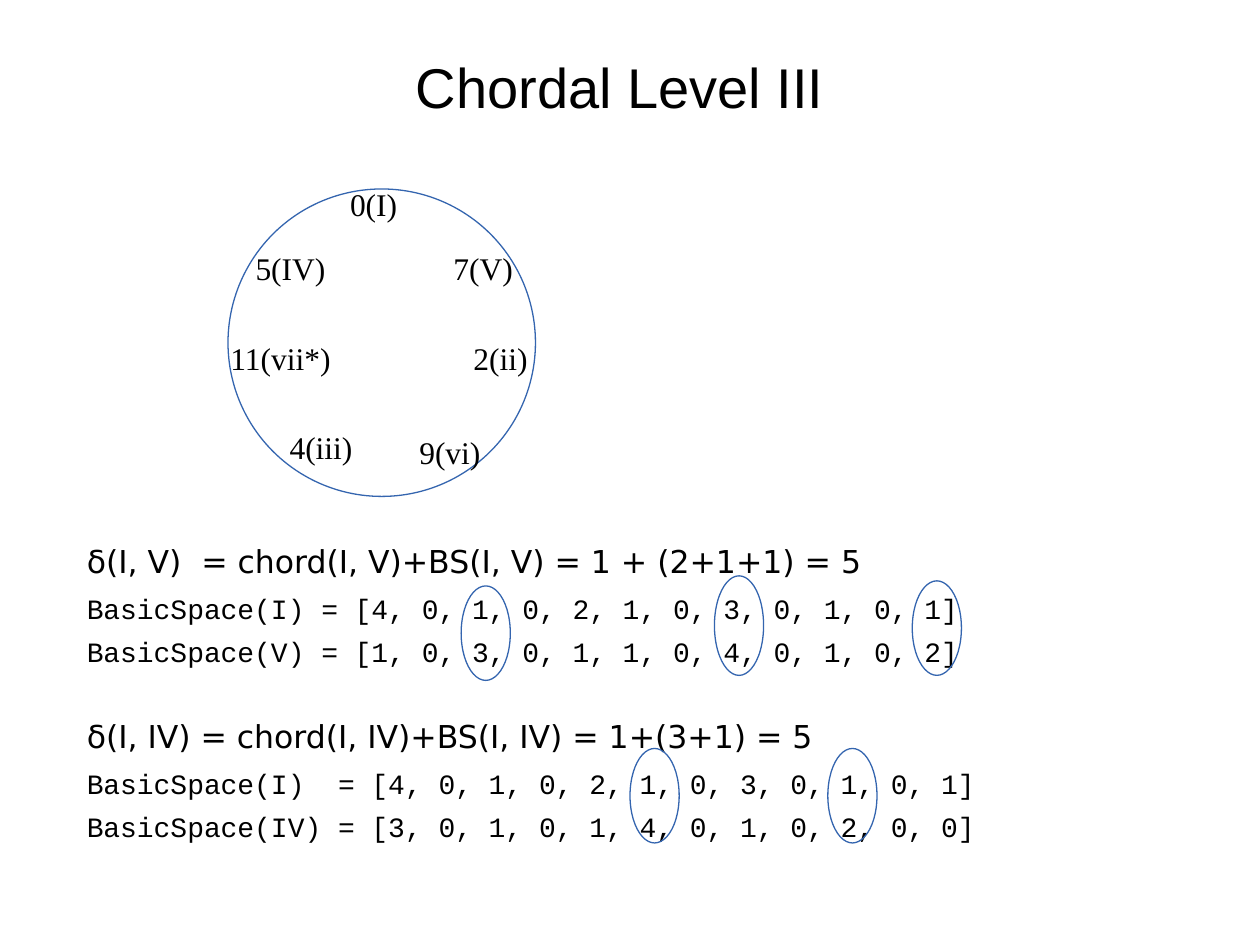
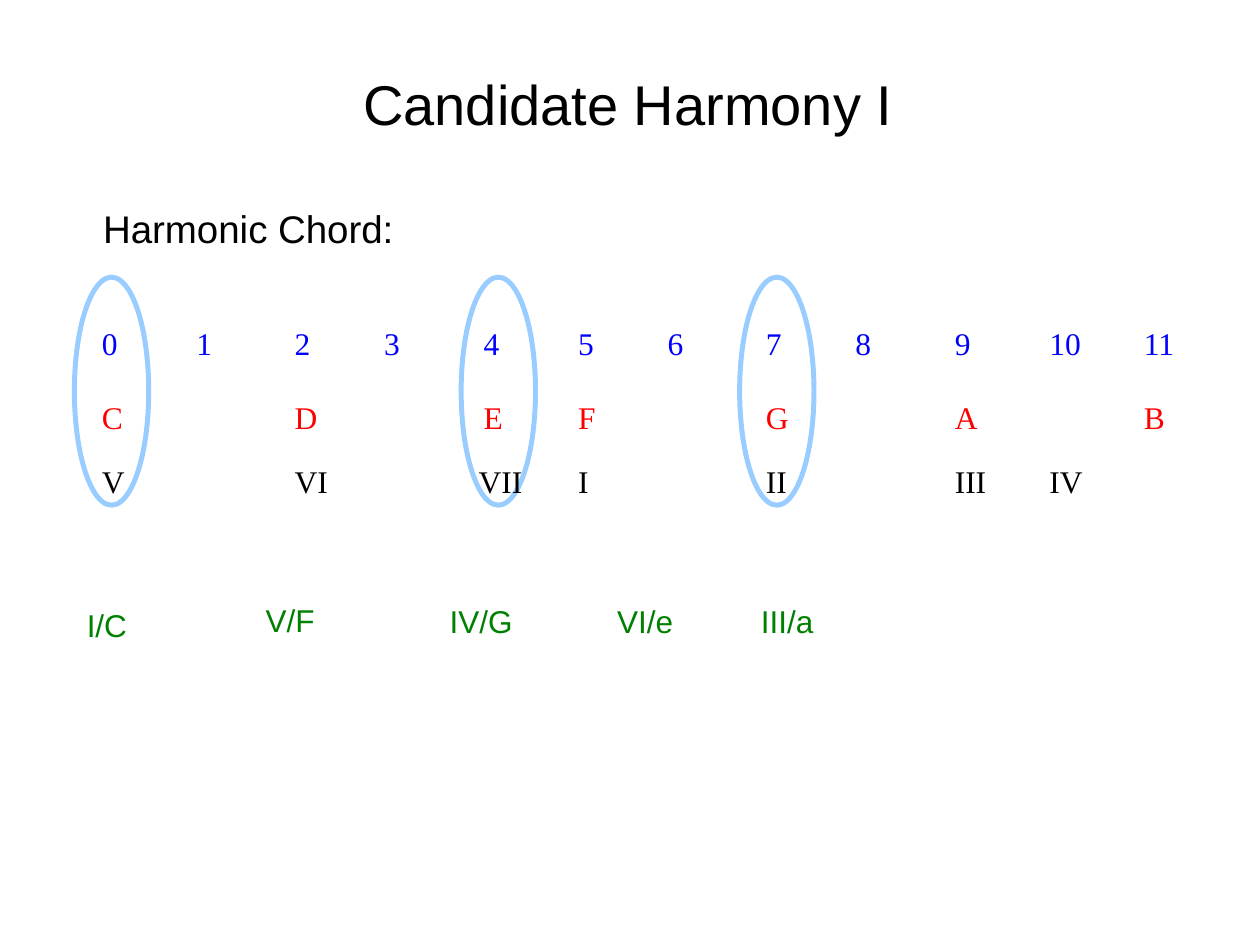
"""Build two slides on chord distance and candidate harmonies."""
from dataclasses import dataclass

from pptx import Presentation
from pptx.dml.color import RGBColor
from pptx.enum.shapes import MSO_SHAPE
from pptx.enum.text import MSO_ANCHOR, PP_ALIGN
from pptx.util import Inches, Pt


@dataclass(frozen=True)
class Theme:
    black: str = "000000"
    blue: str = "0000FF"
    red: str = "FF0000"
    green: str = "008000"
    thin_ring: str = "3465AF"
    thick_ring: str = "99CCFF"
    sans: str = "Arial"
    serif: str = "Times New Roman"
    mono: str = "Courier New"
    formula: str = "DejaVu Sans"
    title_size: float = 32
    subtitle_size: float = 22
    label_size: float = 18
    code_size: float = 16
    thin_line: float = 0.75
    thick_line: float = 2.83


THEME = Theme()

LEVEL_TITLE = ("Chordal Level III", (0.42, 0.06, 9, 1.25))
HARMONY_TITLE = ("Candidate Harmony I", (0.47, 0.16, 9.03, 1.31))

FIFTHS_CIRCLE = (1.81, 1.5, 2.44, 2.44)
CIRCLE_CHORDS = [
    ("0(I)", 2.68, 1.42), ("7(V)", 3.5, 1.93), ("2(ii)", 3.66, 2.64),
    ("9(vi)", 3.23, 3.39), ("4(iii)", 2.2, 3.35), ("11(vii*)", 1.73, 2.64),
    ("5(IV)", 1.93, 1.93),
]
DERIVATION_BOX = (0.59, 1.34, 9.02, 5.51)
DERIVATION_INSET = 2.96
DERIVATIONS = [
    ("δ(I, V)  = chord(I, V)+BS(I, V) = 1 + (2+1+1) = 5",
     ["BasicSpace(I) = [4, 0, 1, 0, 2, 1, 0, 3, 0, 1, 0, 1]",
      "BasicSpace(V) = [1, 0, 3, 0, 1, 1, 0, 4, 0, 1, 0, 2]"]),
    ("δ(I, IV) = chord(I, IV)+BS(I, IV) = 1+(3+1) = 5",
     ["BasicSpace(I)  = [4, 0, 1, 0, 2, 1, 0, 3, 0, 1, 0, 1]",
      "BasicSpace(IV) = [3, 0, 1, 0, 1, 4, 0, 1, 0, 2, 0, 0]"]),
]
DIFFERENCE_RINGS = [(3.66, 4.65, 0.75), (5.67, 4.57, 0.79), (7.24, 4.61, 0.75),
                    (5, 5.94, 0.75), (6.57, 5.94, 0.75)]

PITCH_LEFTS = (0.71, 1.46, 2.24, 2.95, 3.74, 4.49, 5.2, 5.98, 6.69, 7.48, 8.23, 8.98)
NOTES = {0: "C", 2: "D", 4: "E", 5: "F", 7: "G", 9: "A", 11: "B"}
DEGREES = [("V", 0.71), ("VI", 2.24), ("VII", 3.7), ("I", 4.49),
           ("II", 5.98), ("III", 7.48), ("IV", 8.23)]
CHORD_RING_LEFTS = (0.59, 3.66, 5.87)
CANDIDATES = [("I/C", 0.59, 4.76), ("V/F", 2.01, 4.72), ("IV/G", 3.47, 4.73),
              ("VI/e", 4.8, 4.73), ("III/a", 5.94, 4.73)]


def format_runs(paragraph, font_name, size, color=THEME.black):
    """Apply one font, size and colour to every run."""
    for run in paragraph.runs:
        run.font.name = font_name
        run.font.size = Pt(size)
        run.font.color.rgb = RGBColor.from_string(color)


def add_titled_slide(presentation, text, box):
    """Add a title-only slide with its title placed in the box."""
    slide = presentation.slides.add_slide(presentation.slide_layouts[5])
    title = slide.shapes.title
    title.left, title.top, title.width, title.height = map(Inches, box)
    frame = title.text_frame
    frame.text = text
    frame.vertical_anchor = MSO_ANCHOR.MIDDLE
    frame.paragraphs[0].alignment = PP_ALIGN.CENTER
    format_runs(frame.paragraphs[0], THEME.sans, THEME.title_size)
    return slide


def add_label(shapes, text, box, color=THEME.black, font_name=THEME.serif,
              size=THEME.label_size):
    """Add a single-line label."""
    frame = shapes.add_textbox(*map(Inches, box)).text_frame
    frame.word_wrap = True
    frame.margin_right = 0
    frame.text = text
    format_runs(frame.paragraphs[0], font_name, size, color)


def add_ring(shapes, box, color=THEME.thin_ring, line_width=THEME.thin_line):
    """Add an unfilled ellipse."""
    ring = shapes.add_shape(MSO_SHAPE.OVAL, *map(Inches, box))
    ring.shadow.inherit = False
    ring.fill.background()
    ring.line.color.rgb = RGBColor.from_string(color)
    ring.line.width = Pt(line_width)


def add_derivations(shapes):
    """Write each distance formula above the two spaces it compares."""
    frame = shapes.add_textbox(*map(Inches, DERIVATION_BOX)).text_frame
    frame.word_wrap = True
    frame.margin_top = Inches(DERIVATION_INSET)
    for index, (formula, spaces) in enumerate(DERIVATIONS):
        heading = frame.add_paragraph() if index else frame.paragraphs[0]
        heading.text = formula
        heading.space_before = Pt(28 if index else 0)
        format_runs(heading, THEME.formula, THEME.label_size)
        for row, space in enumerate(spaces):
            paragraph = frame.add_paragraph()
            paragraph.text = space
            paragraph.space_before = Pt(5 if row else 7)
            format_runs(paragraph, THEME.mono, THEME.code_size)


def build_chordal_level(presentation):
    """Build the circle of chords and its distance derivations."""
    shapes = add_titled_slide(presentation, *LEVEL_TITLE).shapes
    add_derivations(shapes)
    for left, top, height in DIFFERENCE_RINGS:
        add_ring(shapes, (left, top, 0.39, height))
    circle = shapes.add_group_shape().shapes
    add_ring(circle, FIFTHS_CIRCLE)
    for chord, left, top in CIRCLE_CHORDS:
        add_label(circle, chord, (left, top, 1.06 if len(chord) > 5 else 0.86, 0.4))


def build_candidate_harmony(presentation):
    """Build the pitch grid with the harmonic chord ringed."""
    shapes = add_titled_slide(presentation, *HARMONY_TITLE).shapes
    add_label(shapes, "Harmonic Chord:", (0.72, 1.58, 3.22, 0.47),
              font_name=THEME.sans, size=THEME.subtitle_size)
    notes = shapes.add_group_shape().shapes
    for pitch, note in NOTES.items():
        add_label(notes, note, (PITCH_LEFTS[pitch], 3.11, 0.37, 0.38), THEME.red)
    numbers = shapes.add_group_shape().shapes
    for pitch, left in enumerate(PITCH_LEFTS):
        add_label(numbers, str(pitch), (left, 2.52, 0.38, 0.39), THEME.blue)
    for left in CHORD_RING_LEFTS:
        add_ring(shapes, (left, 2.2, 0.59, 1.81), THEME.thick_ring, THEME.thick_line)
    for degree, left in DEGREES:
        add_label(shapes, degree, (left, 3.62, 0.39 if len(degree) == 1 else 0.63, 0.4))
    for candidate, left, top in CANDIDATES:
        add_label(shapes, candidate, (left, top, 1.02, 0.4), THEME.green, THEME.sans)


def main():
    """Assemble and save the presentation."""
    presentation = Presentation()
    presentation.slide_width, presentation.slide_height = Inches(10), Inches(7.5)
    build_chordal_level(presentation)
    build_candidate_harmony(presentation)
    presentation.save("out.pptx")


if __name__ == "__main__":
    main()
